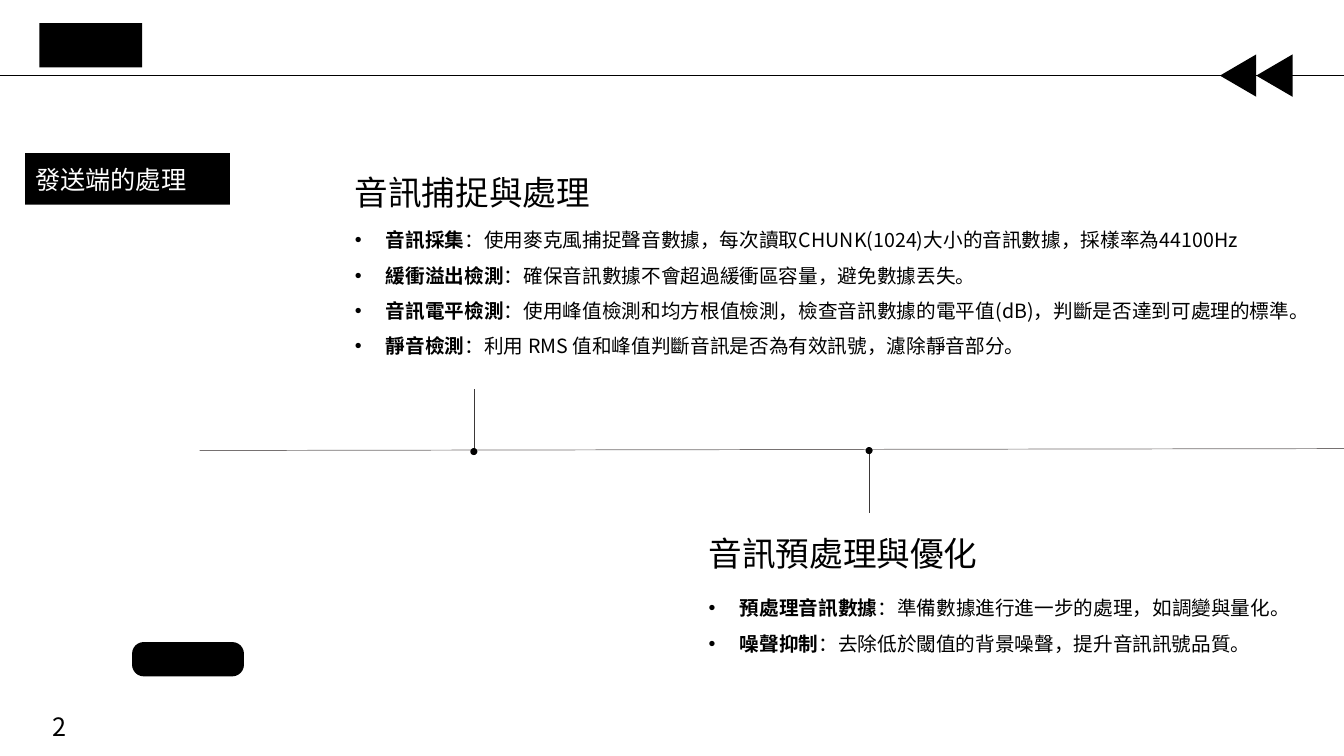
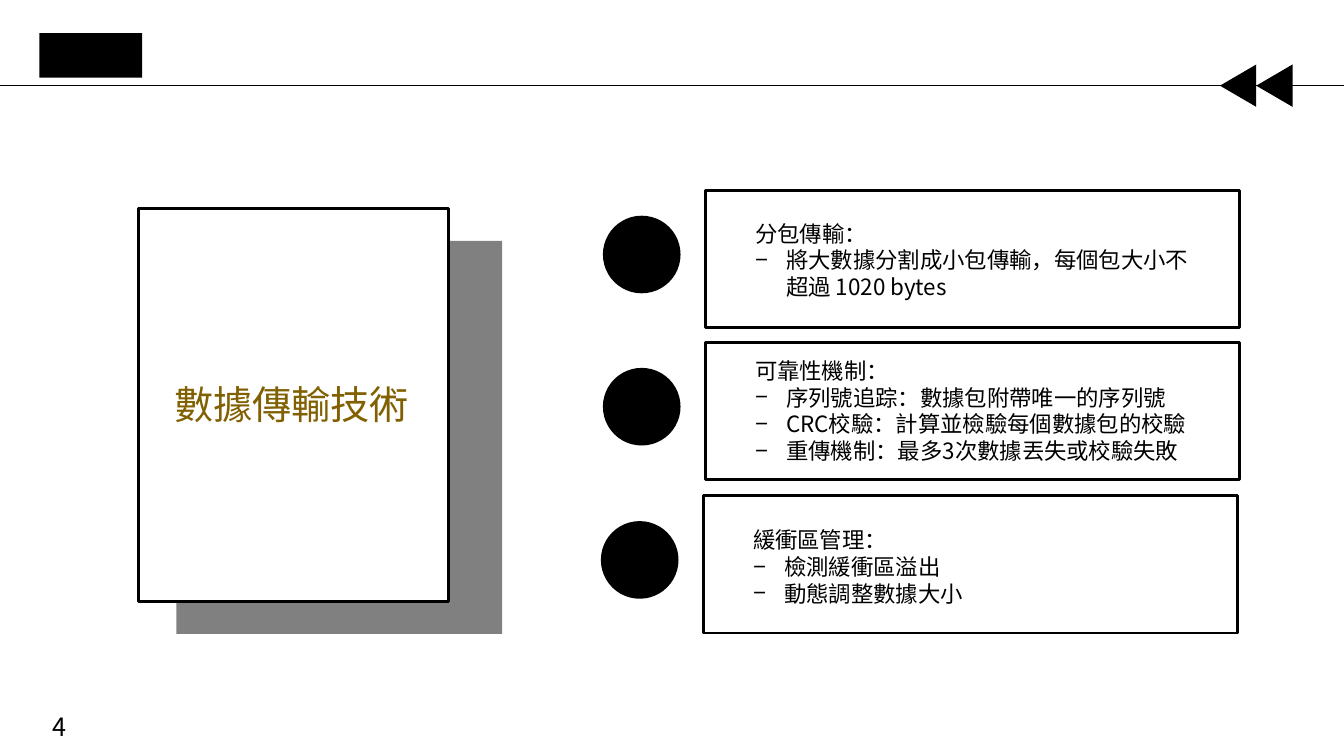
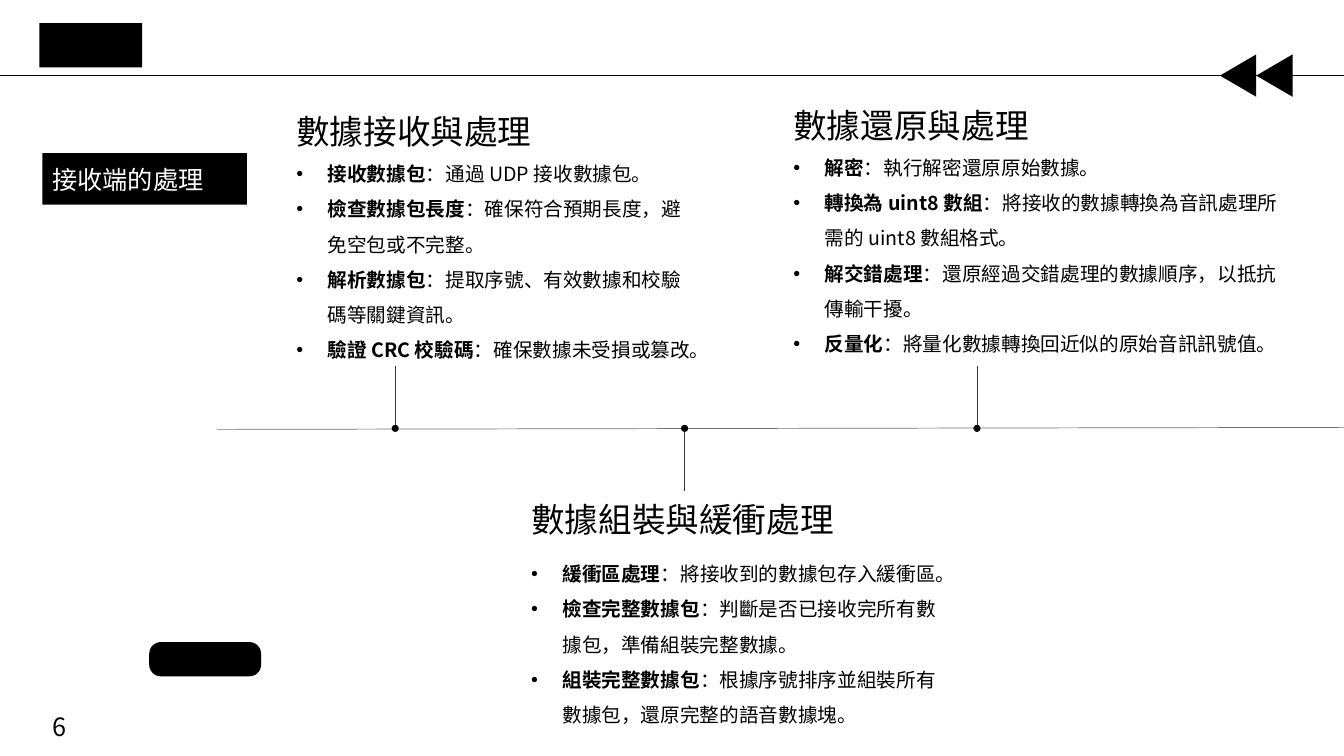
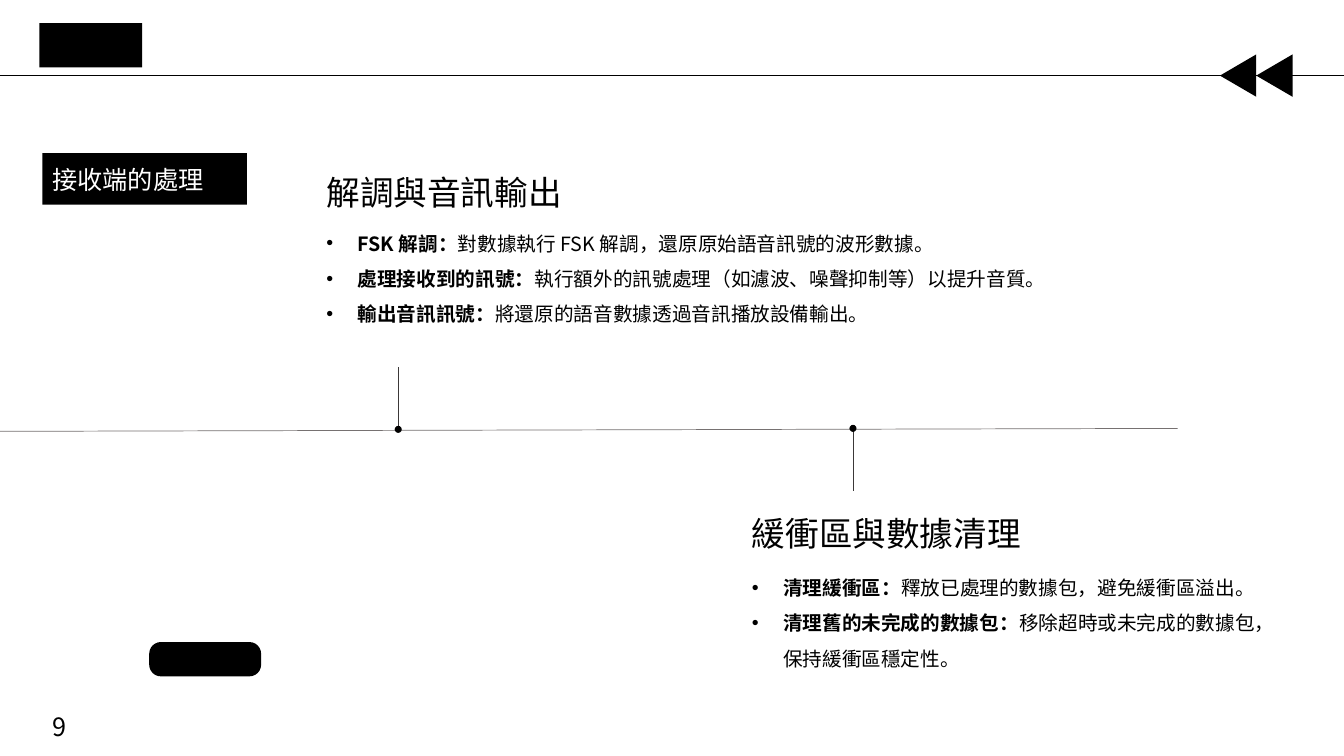
from lxml.etree import SubElement
from pptx import Presentation
from pptx.dml.color import RGBColor
from pptx.enum.shapes import MSO_CONNECTOR, MSO_SHAPE as SHAPE
from pptx.enum.text import MSO_ANCHOR, PP_ALIGN
from pptx.oxml.ns import qn
from pptx.util import Inches, Pt

BLACK = RGBColor(0x00, 0x00, 0x00)
WHITE = RGBColor(0xFF, 0xFF, 0xFF)
GREY = RGBColor(0x80, 0x80, 0x80)
AXIS_GREY = RGBColor(0x76, 0x71, 0x71)
STEM_GREY = RGBColor(0x3B, 0x38, 0x38)
GOLD = RGBColor(0x80, 0x60, 0x00)
FONT = "Noto Sans CJK SC"
LATIN_FONT = "Karla"
SLIDE_WIDTH = 13.33
BULLET_INDENT = 0.31
STEM_LENGTH = 0.62
DOT = 0.07


def add_line(page, start, end, color):
    line = page.shapes.add_connector(
        MSO_CONNECTOR.STRAIGHT, *[Inches(value) for value in (*start, *end)])
    line.line.color.rgb = color
    line.line.width = Pt(0.5)
    SubElement(line._element.spPr, qn("a:effectLst"))


def add_block(page, kind, box, fill=BLACK, outlined=False):
    block = page.shapes.add_shape(kind, *[Inches(value) for value in box])
    block.shadow.inherit = False
    block.fill.solid()
    block.fill.fore_color.rgb = fill
    if outlined:
        block.line.color.rgb = BLACK
        block.line.width = Pt(2)
    else:
        block.line.fill.background()
    return block


def style_span(span, size, color=BLACK, bold=False, latin=FONT):
    span.font.size = Pt(size)
    span.font.color.rgb = color
    span.font.bold = bold
    span.font.name = latin
    SubElement(span._r.get_or_add_rPr(), qn("a:ea")).set("typeface", FONT)


def add_text(page, box, text, size, color=BLACK, wrap=True):
    frame = page.shapes.add_textbox(*[Inches(value) for value in box]).text_frame
    frame.word_wrap = wrap
    frame.text = text
    for para in frame.paragraphs:
        for span in para.runs:
            style_span(span, size, color)
    return frame


def set_bullet(para, mark):
    props = para._p.get_or_add_pPr()
    props.set("marL", str(Inches(BULLET_INDENT)))
    props.set("indent", str(-Inches(BULLET_INDENT)))
    SubElement(props, qn("a:buFont")).set("typeface", "Arial")
    SubElement(props, qn("a:buChar")).set("char", mark)


def add_header(page, top, number):
    """Rule with two arrowheads, black tab and page number; top is the rule's height."""
    add_line(page, (0, top), (SLIDE_WIDTH, top), BLACK)
    for left in (12.43, 12.07):
        add_block(page, SHAPE.ISOSCELES_TRIANGLE,
                  (left, top - 0.18, 0.42, 0.36)).rotation = 270
    add_block(page, SHAPE.RECTANGLE, (0.39, top - 0.52, 1.02, 0.44))
    add_text(page, (0.42, 7.01, 3, 0.4), str(number), 18)


def add_section_label(page, left, text):
    label = add_block(page, SHAPE.RECTANGLE, (left, 1.52, 2.03, 0.51))
    frame = label.text_frame
    frame.vertical_anchor = MSO_ANCHOR.MIDDLE
    frame.text = text
    frame.paragraphs[0].alignment = PP_ALIGN.JUSTIFY
    style_span(frame.paragraphs[0].runs[0], 18, WHITE)
    pill = add_block(page, SHAPE.ROUNDED_RECTANGLE, (left + 1.06, 6.37, 1.11, 0.34))
    pill.adjustments[0] = 0.34


def add_topic(page, box, title, body_offset, items, latin=FONT):
    """Title over bulleted (term, explanation) pairs."""
    left, top, width, height = box
    add_text(page, (left, top, width, 0.5), title, 24)
    frame = add_text(page, (left, top + body_offset, width, height - body_offset), "", 14)
    for index, (term, explanation) in enumerate(items):
        para = frame.add_paragraph() if index else frame.paragraphs[0]
        set_bullet(para, "•")
        para.line_spacing = 1.5
        for text, bold in ((term, True), (explanation, False)):
            span = para.add_run()
            span.text = text
            style_span(span, 14, bold=bold, latin=latin)


def add_milestone(page, x, y, direction):
    """Dot on the axis with a stem going up (-1) or down (1)."""
    add_line(page, (x, y), (x, y + direction * STEM_LENGTH), STEM_GREY)
    add_block(page, SHAPE.OVAL, (x - DOT / 2, y - DOT / 2, DOT, DOT))


def add_timeline_slide(page, number, label, label_left, axis, milestones, topics):
    add_header(page, 0.75, number)
    add_line(page, *axis, AXIS_GREY)
    for topic in topics:
        add_topic(page, *topic)
    for milestone in milestones:
        add_milestone(page, *milestone)
    add_section_label(page, label_left, label)


def add_cover_card(page, left, top, title):
    add_block(page, SHAPE.RECTANGLE, (left + 0.38, top + 0.32, 3.23, 3.9), GREY)
    add_block(page, SHAPE.RECTANGLE, (left, top, 3.08, 3.9), WHITE, outlined=True)
    add_text(page, (left + 0.26, top + 1.65, 2.56, 0.57), title, 28, GOLD, wrap=False)


def add_point_card(page, left, top, text_top, text_width, lines):
    add_block(page, SHAPE.RECTANGLE, (left, top, 5.29, 1.36), WHITE, outlined=True)
    add_block(page, SHAPE.OVAL, (left - 1.02, top + 0.25, 0.77, 0.77))
    frame = add_text(page, (left + 0.39, text_top, text_width, 0.91), "\n".join(lines), 16)
    for para in frame.paragraphs[1:]:
        set_bullet(para, "−")


def add_cards_slide(page, number, title, cards):
    add_header(page, 0.85, number)
    add_cover_card(page, 1.37, 2.07, title)
    for card in cards:
        add_point_card(page, *card)


CAPTURE = [
    ("音訊採集", "：使用麥克風捕捉聲音數據，每次讀取CHUNK(1024)大小的音訊數據，採樣率為44100Hz"),
    ("緩衝溢出檢測", "：確保音訊數據不會超過緩衝區容量，避免數據丟失。"),
    ("音訊電平檢測", "：使用峰值檢測和均方根值檢測，檢查音訊數據的電平值(dB)，判斷是否達到可處理的標準。"),
    ("靜音檢測", "：利用 RMS 值和峰值判斷音訊是否為有效訊號，濾除靜音部分。"),
]
PREPROCESSING = [
    ("預處理音訊數據", "：準備數據進行進一步的處理，如調變與量化。"),
    ("噪聲抑制", "：去除低於閾值的背景噪聲，提升音訊訊號品質。"),
]
CARDS = [
    (7, 1.89, 2.13, 4.51,
     ["分包傳輸：", "將大數據分割成小包傳輸，每個包大小不超過 1020 bytes"]),
    (7, 3.4, 3.49, 4.7,
     ["可靠性機制：", "序列號追踪：數據包附帶唯一的序列號",
      "CRC校驗：計算並檢驗每個數據包的校驗", "重傳機制：最多3次數據丟失或校驗失敗"]),
    (6.98, 4.92, 5.17, 4.51,
     ["緩衝區管理：", "檢測緩衝區溢出", "動態調整數據大小"]),
]
RECEPTION = [
    ("接收數據包", "：通過 UDP 接收數據包。"),
    ("檢查數據包長度", "：確保符合預期長度，避免空包或不完整。"),
    ("解析數據包", "：提取序號、有效數據和校驗碼等關鍵資訊。"),
    ("驗證 CRC 校驗碼", "：確保數據未受損或篡改。"),
]
ASSEMBLY = [
    ("緩衝區處理", "：將接收到的數據包存入緩衝區。"),
    ("檢查完整數據包", "：判斷是否已接收完所有數據包，準備組裝完整數據。"),
    ("組裝完整數據包", "：根據序號排序並組裝所有數據包，還原完整的語音數據塊。"),
]
RESTORATION = [
    ("解密", "：執行解密還原原始數據。"),
    ("轉換為 uint8 數組", "：將接收的數據轉換為音訊處理所需的 uint8 數組格式。"),
    ("解交錯處理", "：還原經過交錯處理的數據順序，以抵抗傳輸干擾。"),
    ("反量化", "：將量化數據轉換回近似的原始音訊訊號值。"),
]
DEMODULATION = [
    ("FSK 解調：", "對數據執行 FSK 解調，還原原始語音訊號的波形數據。"),
    ("處理接收到的訊號：", "執行額外的訊號處理（如濾波、噪聲抑制等）以提升音質。"),
    ("輸出音訊訊號：", "將還原的語音數據透過音訊播放設備輸出。"),
]
CLEANUP = [
    ("清理緩衝區：", "釋放已處理的數據包，避免緩衝區溢出。"),
    ("清理舊的未完成的數據包：", "移除超時或未完成的數據包，保持緩衝區穩定性。"),
]


def main():
    deck = Presentation()
    deck.slide_width = Inches(SLIDE_WIDTH)
    deck.slide_height = Inches(7.5)
    sending, transfer, receiving, output = [
        deck.slides.add_slide(deck.slide_layouts[6]) for _ in range(4)]

    add_timeline_slide(
        sending, 2, "發送端的處理", 0.25, ((1.98, 4.47), (SLIDE_WIDTH, 4.45)),
        [(4.7, 4.48, -1), (8.62, 4.47, 1)],
        [((3.42, 1.66, 9.58, 2.27), "音訊捕捉與處理", 0.44, CAPTURE),
         ((6.93, 5.24, 5.8, 1.28), "音訊預處理與優化", 0.51, PREPROCESSING, LATIN_FONT)])
    add_cards_slide(transfer, 4, "數據傳輸技術", CARDS)
    add_timeline_slide(
        receiving, 6, "接收端的處理", 0.42, ((2.15, 4.26), (13.41, 4.24)),
        [(3.92, 4.25, -1), (6.79, 4.25, 1), (9.69, 4.25, -1)],
        [((2.84, 1.05, 4.15, 2.57), "數據接收與處理", 0.39, RECEPTION),
         ((5.17, 4.9, 4.25, 2.34), "數據組裝與緩衝處理", 0.51, ASSEMBLY),
         ((7.77, 0.99, 5.05, 2.57), "數據還原與處理", 0.39, RESTORATION)])
    add_timeline_slide(
        output, 9, "接收端的處理", 0.42, ((-0.25, 4.28), (11.68, 4.25)),
        [(3.95, 4.26, -1), (8.46, 4.25, 1)],
        [((3.14, 1.66, 7.37, 1.59), "解調與音訊輸出", 0.47, DEMODULATION),
         ((7.36, 5.04, 5.27, 1.98), "緩衝區與數據清理", 0.51, CLEANUP)])
    deck.save("out.pptx")


if __name__ == "__main__":
    main()
